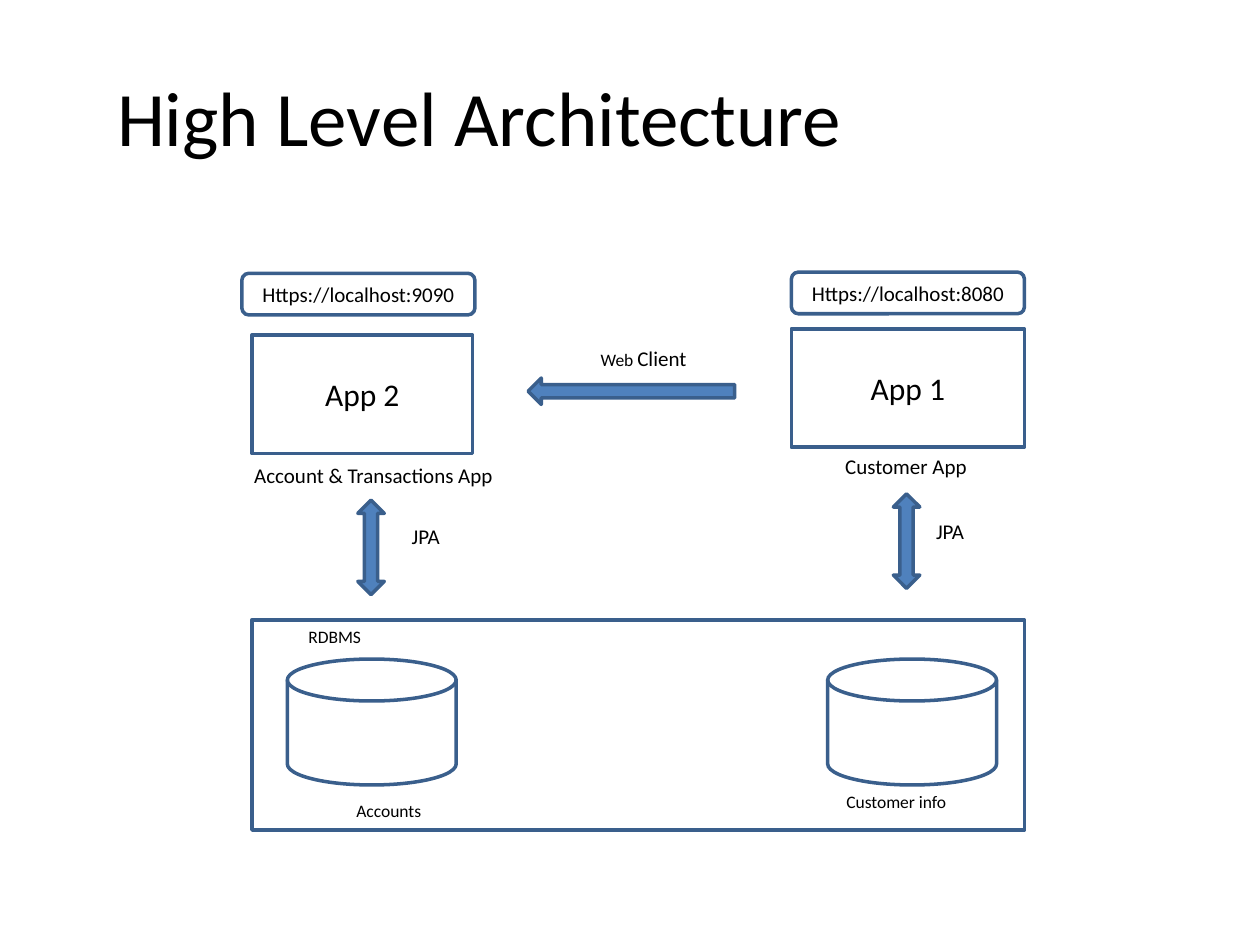
from pptx import Presentation
from pptx.dml.color import RGBColor
from pptx.enum.shapes import MSO_SHAPE as Shape
from pptx.enum.text import MSO_ANCHOR as Anchor, MSO_AUTO_SIZE as AutoSize, PP_ALIGN as Align
from pptx.util import Pt

FONT, INK, WHITE, BLUE, OUTLINE = "Calibri", "000000", "FFFFFF", "4F81BD", "3A5F8C"

TITLE = ("High Level Architecture", 59.8, 20.9, 635.8, 90)
DATABASE = (144, 354.2, 441.4, 120.2)
WEB_CALL = (301.7, 216, 118.1, 15.1)

APPS = [
    dict(name="App 2", url="Https://localhost:9090", url_at=(138.2, 156.2),
         left=144, top=191.5, width=126, arrow_left=204.5, store_left=164.2),
    dict(name="App 1", url="Https://localhost:8080", url_at=(452.2, 155.5),
         left=452.2, top=187.9, width=133.2, arrow_left=510.5, store_left=473),
]
URL_SIZE = (133.2, 23.8)
APP_HEIGHT = 67.7
ARROW_GAP, ARROW_SIZE = 26.6, (15.1, 54)
STORE_TOP, STORE_SIZE = 376.6, (96.5, 72)

LABEL_WIDTH = 84.2
LABELS = [
    ([("Web ", 10), ("Client", 12)], 336.2, 193.7, LABEL_WIDTH),
    ([("Accounts", 10)], 196.6, 453.6, LABEL_WIDTH),
    ([("Customer info", 10)], 476.6, 448.6, LABEL_WIDTH),
    ([("JPA", 12)], 228.2, 295.9, LABEL_WIDTH),
    ([("JPA", 12)], 527.8, 293, LABEL_WIDTH),
    ([("RDBMS", 10)], 169.2, 354.2, LABEL_WIDTH),
    ([("Customer App", 12)], 475.9, 255.6, LABEL_WIDTH),
    ([("Account & Transactions App", 12)], 138.2, 260.6, 181.4),
]

deck = Presentation()
deck.slide_width, deck.slide_height = Pt(720), Pt(540)
slide = deck.slides.add_slide(deck.slide_layouts[6])


def color(value):
    return RGBColor.from_string(value)


def write(frame, runs, align=Align.LEFT, anchor=Anchor.TOP, grow=False):
    frame.word_wrap = True
    frame.vertical_anchor = anchor
    if grow:
        frame.auto_size = AutoSize.SHAPE_TO_FIT_TEXT
    paragraph = frame.paragraphs[0]
    paragraph.alignment = align
    for text, size in runs:
        run = paragraph.add_run()
        run.text = text
        run.font.name, run.font.size = FONT, Pt(size)
        run.font.color.rgb = color(INK)


def draw(preset, left, top, width, height, fill=WHITE, runs=()):
    part = slide.shapes.add_shape(preset, Pt(left), Pt(top), Pt(width), Pt(height))
    part.shadow.inherit = False
    part.fill.solid()
    part.fill.fore_color.rgb = color(fill)
    part.line.color.rgb = color(OUTLINE)
    part.line.width = Pt(2)
    if runs:
        write(part.text_frame, runs, align=Align.CENTER, anchor=Anchor.MIDDLE)
    return part


def label(runs, left, top, width, height, **style):
    box = slide.shapes.add_textbox(Pt(left), Pt(top), Pt(width), Pt(height))
    write(box.text_frame, runs, **style)


draw(Shape.RECTANGLE, *DATABASE)
heading, *heading_area = TITLE
label([(heading, 44)], *heading_area, anchor=Anchor.MIDDLE)

for app in APPS:
    draw(Shape.ROUNDED_RECTANGLE, *app["url_at"], *URL_SIZE, runs=[(app["url"], 12)])
    draw(Shape.RECTANGLE, app["left"], app["top"], app["width"], APP_HEIGHT,
         runs=[(app["name"], 18)])
    draw(Shape.UP_DOWN_ARROW, app["arrow_left"], app["top"] + APP_HEIGHT + ARROW_GAP,
         *ARROW_SIZE, fill=BLUE)
    draw(Shape.FLOWCHART_MAGNETIC_DISK, app["store_left"], STORE_TOP, *STORE_SIZE)

draw(Shape.RIGHT_ARROW, *WEB_CALL, fill=BLUE).rotation = 180

for runs, left, top, width in LABELS:
    height = 7.2 + 1.2 * max(size for _, size in runs)
    label(runs, left, top, width, height, grow=True)

deck.save("out.pptx")
